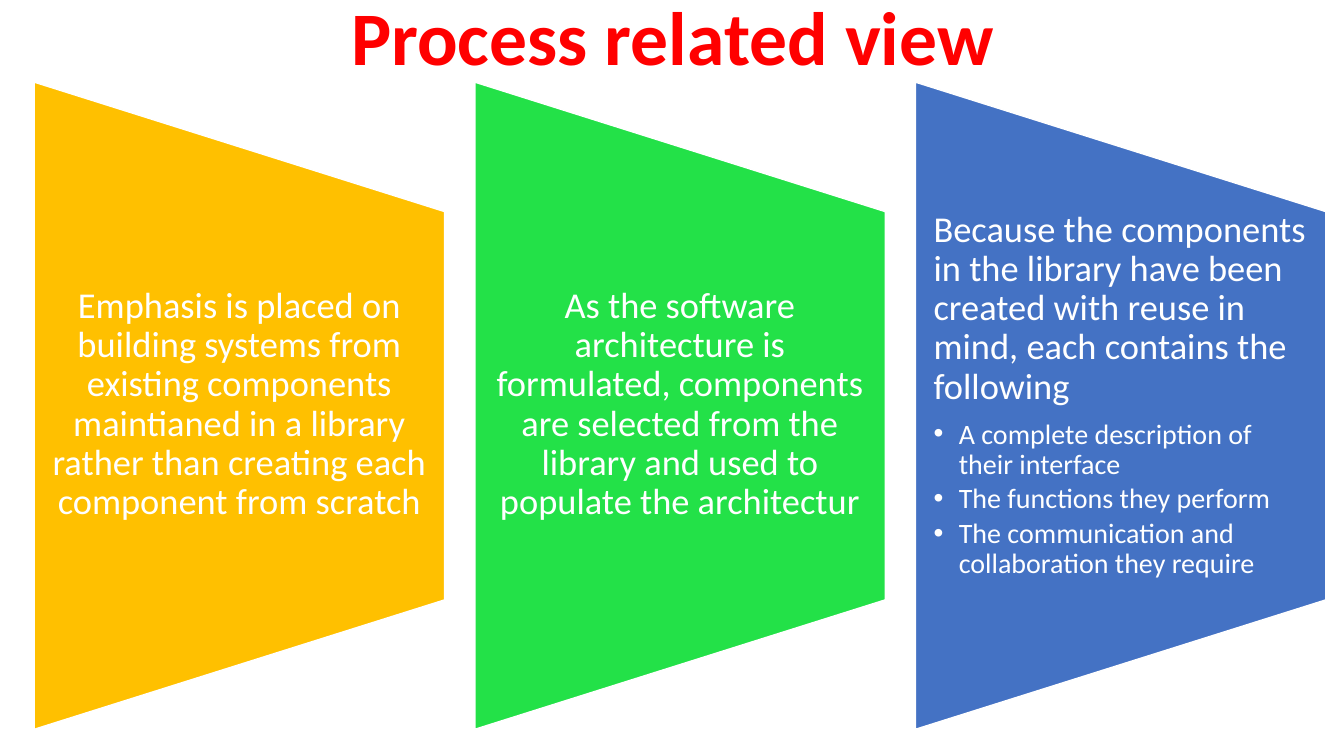
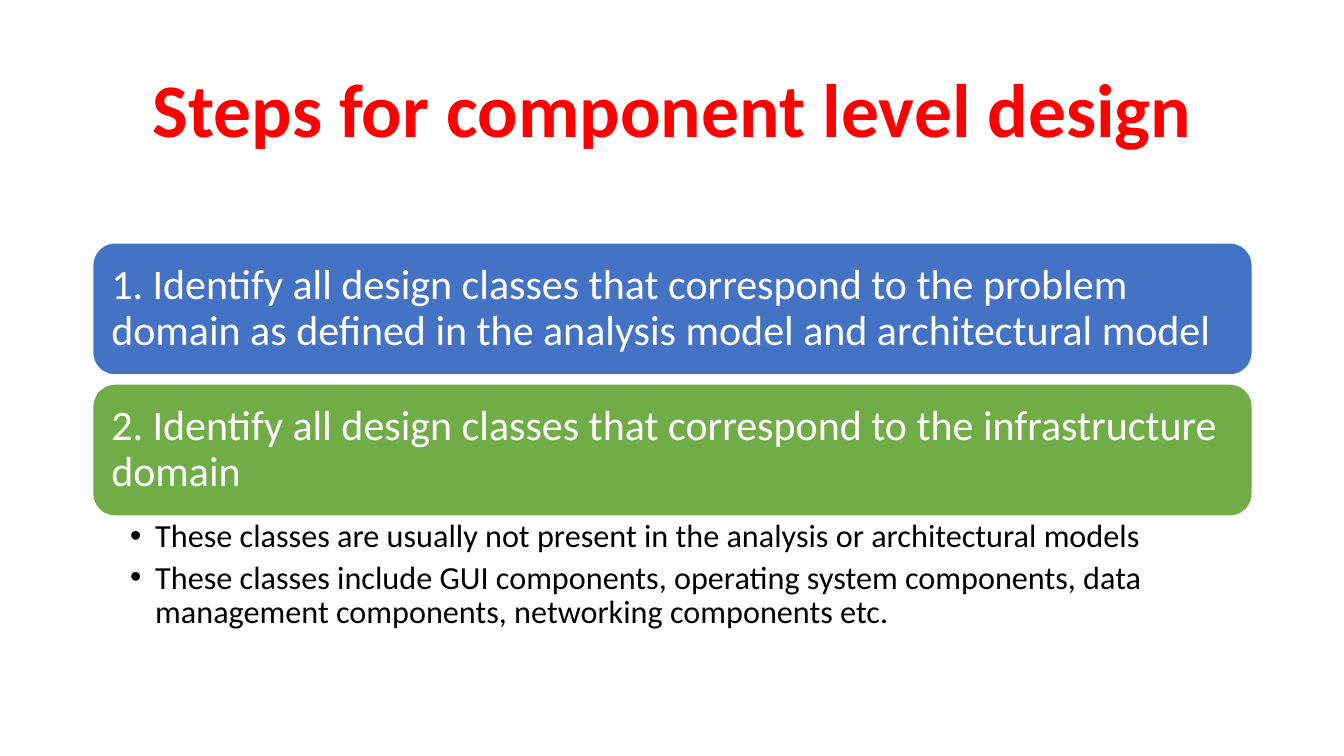
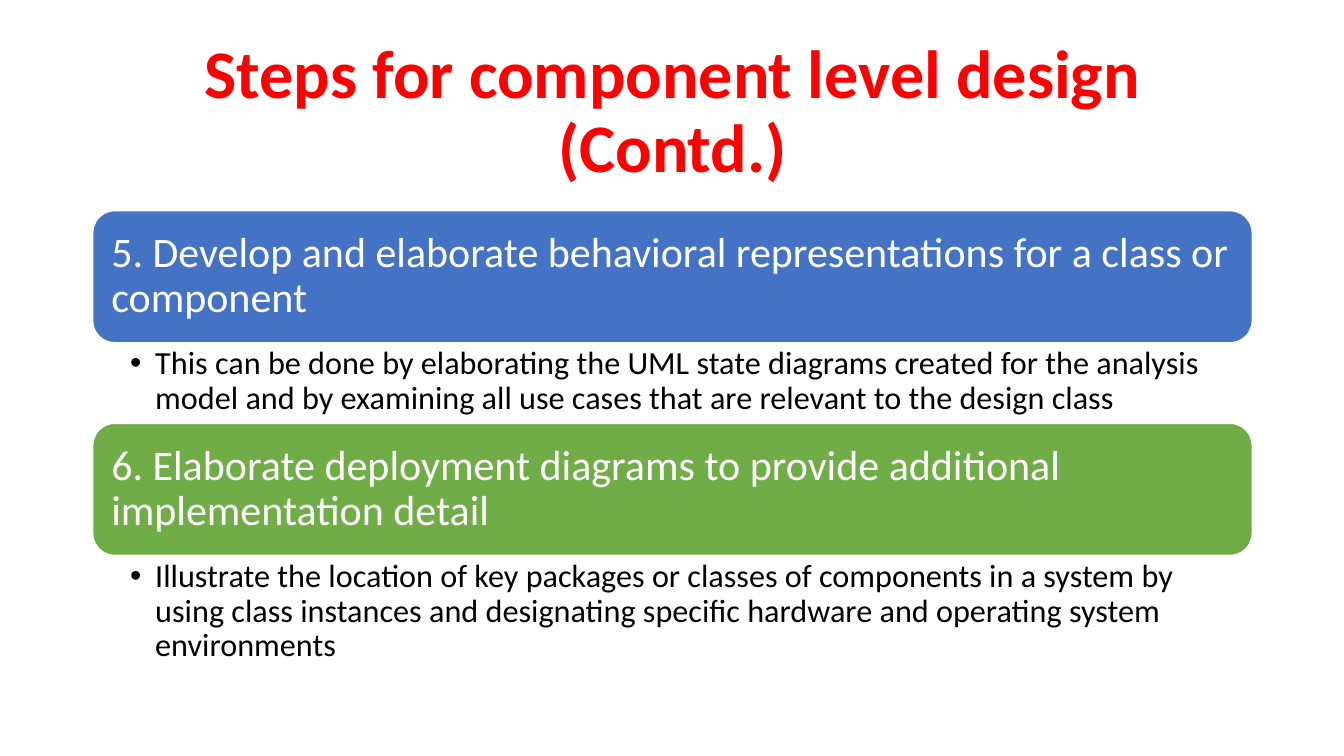
from lxml import etree
from pptx import Presentation
from pptx.dml.color import RGBColor
from pptx.enum.shapes import MSO_SHAPE
from pptx.enum.text import MSO_ANCHOR, MSO_AUTO_SIZE, PP_ALIGN
from pptx.oxml.ns import qn
from pptx.util import Inches, Pt

TRAPEZOID = MSO_SHAPE.FLOWCHART_MANUAL_OPERATION
ROUNDED = MSO_SHAPE.ROUNDED_RECTANGLE
TOP, MIDDLE = MSO_ANCHOR.TOP, MSO_ANCHOR.MIDDLE
LEFT, CENTER = PP_ALIGN.LEFT, PP_ALIGN.CENTER
NO_AUTOFIT = MSO_AUTO_SIZE.NONE
TITLE_ONLY = 5

RED, WHITE, BLACK = "FF0000", "FFFFFF", "000000"
AMBER, LIME, BLUE, GREEN = "FFC000", "23E148", "4472C4", "70AD47"
MARGIN, CONTENT_WIDTH = 0.92, 11.5


def rgb(code):
    """Turn a hex string into a colour."""
    return RGBColor.from_string(code)


class Deck:
    """Holds the shared style and the current slide."""

    font = "Calibri"
    line_spacing = 0.9
    step_height = 1.31
    step_gap = 0.09

    def __init__(self):
        """Start a widescreen presentation."""
        self.prs = Presentation()
        self.prs.slide_width = Inches(13.33)
        self.prs.slide_height = Inches(7.5)
        self.slide = None

    def frame(self, shape, anchor, insets):
        """Prepare the text frame of a shape and return it."""
        frame = shape.text_frame
        frame.word_wrap = True
        frame.auto_size = NO_AUTOFIT
        frame.vertical_anchor = anchor
        (frame.margin_left, frame.margin_top,
         frame.margin_right, frame.margin_bottom) = map(Inches, insets)
        return frame

    def add_text(self, paragraph, text, size, color, align=LEFT, after=0, bold=False):
        """Fill a paragraph with one styled run."""
        paragraph.alignment = align
        paragraph.line_spacing = self.line_spacing
        paragraph.space_before = Pt(0)
        paragraph.space_after = Pt(after)
        run = paragraph.add_run()
        run.text = text
        run.font.name = self.font
        run.font.size = Pt(size)
        run.font.bold = bold
        run.font.color.rgb = rgb(color)

    def bullet(self, paragraph, text, size, color, after):
        """Fill a paragraph as a second-level bullet."""
        paragraph.level = 1
        self.add_text(paragraph, text, size, color, after=after)
        props = paragraph._p.get_or_add_pPr()
        props.set("marL", str(Inches(0.25)))
        props.set("indent", str(Inches(-0.25)))
        etree.SubElement(props, qn("a:buFont")).set("typeface", "Arial")
        etree.SubElement(props, qn("a:buChar")).set("char", "•")

    def new_slide(self, title, size=54, top=0.4, height=1.45):
        """Add a slide with a centred red title."""
        self.slide = self.prs.slides.add_slide(self.prs.slide_layouts[TITLE_ONLY])
        heading = self.slide.shapes.title
        heading.left, heading.top = Inches(MARGIN), Inches(top)
        heading.width, heading.height = Inches(CONTENT_WIDTH), Inches(height)
        frame = self.frame(heading, MIDDLE, (0.1, 0.05, 0.1, 0.05))
        self.add_text(frame.paragraphs[0], title, size, RED, CENTER, bold=True)

    def block(self, preset, left, top, width, height, color):
        """Add a filled shape with a thin white outline."""
        shape = self.slide.shapes.add_shape(
            preset, Inches(left), Inches(top), Inches(width), Inches(height))
        shape.shadow.inherit = False
        shape.fill.solid()
        shape.fill.fore_color.rgb = rgb(color)
        shape.line.color.rgb = rgb(WHITE)
        shape.line.width = Pt(1)
        return shape

    def text_box(self, left, top, width, height, anchor, insets):
        """Add a text box and return its frame."""
        box = self.slide.shapes.add_textbox(
            Inches(left), Inches(top), Inches(width), Inches(height))
        return self.frame(box, anchor, insets)

    def panel(self, column, color, text, bullets=()):
        """Add a sideways trapezoid with upright text over it."""
        left, width, length = 0.34 + 4.37 * column, 4.07, 6.42
        shape = self.block(TRAPEZOID, left - (length - width) / 2, 1.99,
                           length, width, color)
        shape.rotation = 270
        anchor, align = (TOP, LEFT) if bullets else (MIDDLE, CENTER)
        frame = self.text_box(left, 2.09, width, 3.85, anchor, (0.18, 0, 0.18, 0))
        self.add_text(frame.paragraphs[0], text, 26, WHITE, align, after=9.1)
        for item in bullets:
            self.bullet(frame.add_paragraph(), item, 20, WHITE, after=3)

    def notes(self, top, height, items):
        """Add the bullets under a step."""
        frame = self.text_box(MARGIN, top, CONTENT_WIDTH, height, TOP,
                              (0.37, 0.04, 0.23, 0.04))
        for index, item in enumerate(items):
            paragraph = frame.add_paragraph() if index else frame.paragraphs[0]
            self.bullet(paragraph, item, 23, BLACK, after=4.6)

    def steps(self, top, entries):
        """Stack steps, each followed by its bullets or a small gap."""
        for color, text, notes_height, items in entries:
            bar = self.block(ROUNDED, MARGIN, top, CONTENT_WIDTH,
                             self.step_height, color)
            frame = self.frame(bar, MIDDLE, (0.12,) * 4)
            self.add_text(frame.paragraphs[0], text, 30, WHITE, after=10.5)
            top += self.step_height
            if items:
                self.notes(top, notes_height, items)
            top += notes_height if items else self.step_gap


deck = Deck()

deck.new_slide("Process related view", top=0, height=0.81)
deck.panel(0, AMBER, "Emphasis is placed on building systems from existing components "
           "maintianed in a library rather than creating each component from scratch")
deck.panel(1, LIME, "As the software architecture is formulated, components are "
           "selected from the library and used to populate the architectur")
deck.panel(2, BLUE, "Because the components in the library have been created with "
           "reuse in mind, each contains the following",
           ["A complete description of their interface",
            "The functions they perform",
            "The communication and collaboration they require"])

deck.new_slide("Steps for component level design")
deck.steps(2.41, [
    (BLUE, "1. Identify all design classes that correspond to the problem domain "
     "as defined in the analysis model and architectural model", 0, []),
    (GREEN, "2. Identify all design classes that correspond to the infrastructure "
     "domain", 1.22,
     ["These classes are usually not present in the analysis or architectural models",
      "These classes include GUI components, operating system components, data "
      "management components, networking components etc."]),
])

deck.new_slide("Steps for component level design (Contd.)", size=48.6)
deck.steps(2.09, [
    (BLUE, "5. Develop and elaborate behavioral representations for a class or "
     "component", 0.8,
     ["This can be done by elaborating the UML state diagrams created for the "
      "analysis model and by examining all use cases that are relevant to the "
      "design class"]),
    (GREEN, "6. Elaborate deployment diagrams to provide additional implementation "
     "detail", 1.15,
     ["Illustrate the location of key packages or classes of components in a system "
      "by using class instances and designating specific hardware and operating "
      "system environments"]),
])

deck.prs.save("out.pptx")
